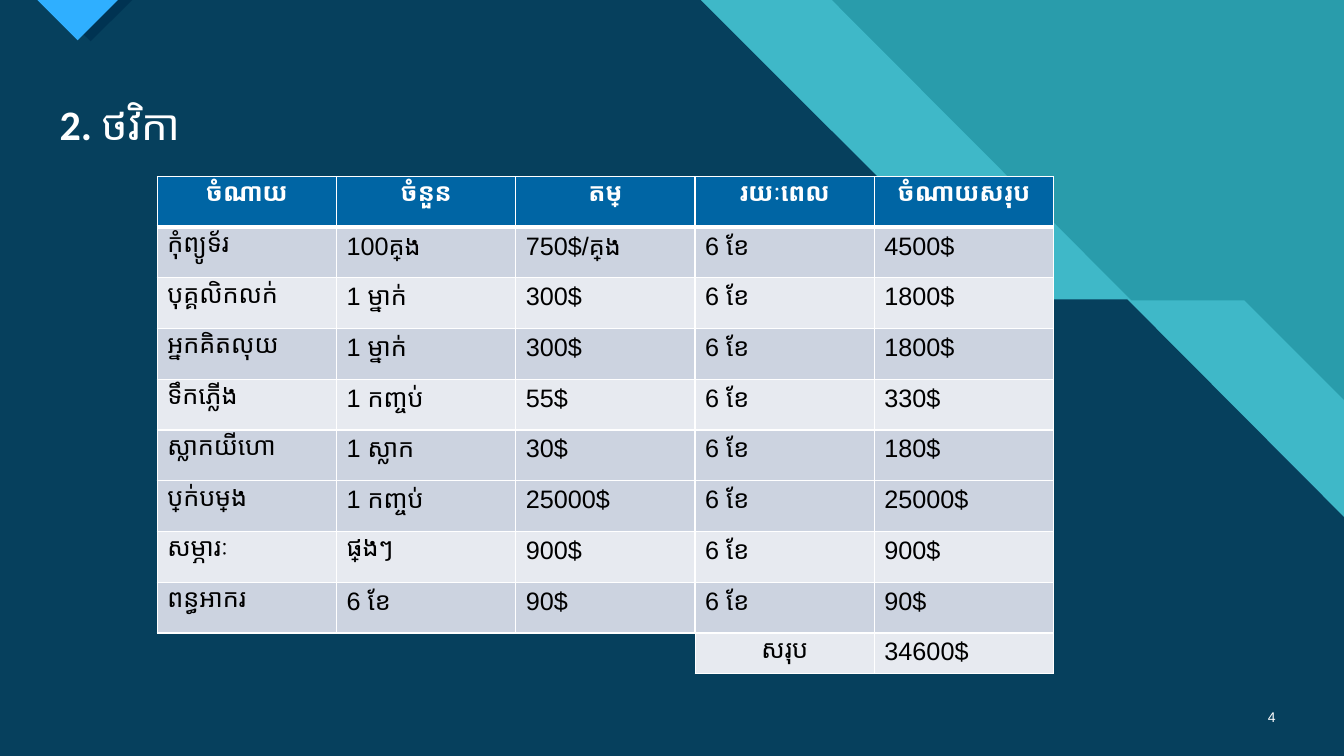
from lxml.etree import SubElement
from pptx import Presentation
from pptx.dml.color import RGBColor
from pptx.enum.text import MSO_ANCHOR, MSO_AUTO_SIZE, PP_ALIGN
from pptx.oxml.ns import qn
from pptx.util import Inches, Pt

WIDTH, HEIGHT = 13.33, 7.5
COLORS = {
    "teal": "299CAB", "aqua": "47C3D3", "navy": "003352", "sky": "2FAFFF",
    "header": "0065A4", "dark_band": "CCD3E0", "light_band": "E7EAF0",
    "white": "FFFFFF", "black": "000000",
}
TABLE_LEFT, TABLE_TOP = 1.56, 1.75
COLUMN = 8.89 / 5
ROW = 3.02 / 6

HEADINGS = ["ចំណាយ", "ចំនួន", "តម្លៃ", "រយៈពេល", "ចំណាយសរុប"]
RUNNING_COSTS = [
    ["កុំព្យូទ័រ", "100គ្រឿង", "750$/គ្រឿង", "6 ខែ", "4500$"],
    ["បុគ្គលិកលក់", "1 ម្នាក់", "300$", "6 ខែ", "1800$"],
    ["អ្នកគិតលុយ", "1 ម្នាក់", "300$", "6 ខែ", "1800$"],
    ["ទឹកភ្លើង", "1 កញ្ចប់", "55$", "6 ខែ", "330$"],
    ["ស្លាកយីហោ", "1 ស្លាក", "30$", "6 ខែ", "180$"],
]
OTHER_COSTS = [
    ["ប្រាក់បម្រុង", "1 កញ្ចប់", "25000$", "6 ខែ", "25000$"],
    ["សម្ភារៈ", "ផ្សេងៗ", "900$", "6 ខែ", "900$"],
    ["ពន្ធអាករ", "6 ខែ", "90$", "6 ខែ", "90$"],
]
TOTAL = [["សរុប", "34600$"]]


def color(name):
    return RGBColor.from_string(COLORS[name])


def add_polygon(slide, points, fill, opacity=100):
    # The builder keeps whole units only, so draw in hundredths of an inch
    grid = [(round(x * 100), round(y * 100)) for x, y in points]
    builder = slide.shapes.build_freeform(*grid[0], scale=Inches(0.01))
    builder.add_line_segments(grid[1:], close=True)
    shape = builder.convert_to_shape()
    shape.shadow.inherit = False
    shape.line.fill.background()
    shape.fill.solid()
    shape.fill.fore_color.rgb = color(fill)
    if opacity < 100:
        srgb = shape.fill._xPr.find(qn("a:solidFill")).find(qn("a:srgbClr"))
        SubElement(srgb, qn("a:alpha")).set("val", str(opacity * 1000))


def add_background(slide):
    slide.background.fill.solid()
    slide.background.fill.fore_color.rgb = color("teal")
    corners = [(WIDTH, HEIGHT), (0, HEIGHT)]
    add_polygon(slide, [(0, 0), (8.25, 0), (11.22, 2.98), (12.34, 2.98),
                        (WIDTH, 3.97)] + corners, "aqua", 74)
    add_polygon(slide, [(0, 0), (6.95, 0), (9.92, 2.97), (11.18, 2.97),
                        (WIDTH, 5.13)] + corners, "navy", 90)
    # Marker at the top edge with its darker echo
    add_polygon(slide, [(0.48, 0), (1.31, 0), (0.9, 0.41)], "navy")
    add_polygon(slide, [(0.37, 0), (1.17, 0), (0.77, 0.4)], "sky")


def format_font(paragraph, name, size, fill, bold=None):
    paragraph.font.name = name
    paragraph.font.size = Pt(size)
    paragraph.font.bold = bold
    paragraph.font.color.rgb = color(fill)


def add_title(slide, number, text):
    title = slide.shapes.title
    title.left, title.top = Inches(0.49), Inches(0.93)
    title.width, title.height = Inches(6.71), Inches(0.61)
    frame = title.text_frame
    frame.auto_size = MSO_AUTO_SIZE.NONE
    frame.vertical_anchor = MSO_ANCHOR.TOP
    paragraph = frame.paragraphs[0]
    paragraph.alignment = PP_ALIGN.LEFT
    for words, bold in ((number, True), (text, False)):
        run = paragraph.add_run()
        run.text = words
        run.font.bold = bold
    format_font(paragraph, "Calibri", 30, "white")
    # Bring the title in front of the background shapes
    slide.shapes._spTree.append(title._element)


def add_page_number(slide, number):
    box = slide.shapes.add_textbox(Inches(12.31), Inches(6.91), Inches(0.44), Inches(0.4))
    frame = box.text_frame
    frame.word_wrap = True
    frame.vertical_anchor = MSO_ANCHOR.MIDDLE
    paragraph = frame.paragraphs[0]
    paragraph.text = number
    paragraph.alignment = PP_ALIGN.RIGHT
    format_font(paragraph, "Arial", 10, "white")


def set_borders(cell, top, bottom):
    properties = cell._tc.get_or_add_tcPr()
    for side, width in (("L", 1), ("R", 1), ("T", top), ("B", bottom)):
        line = SubElement(properties, qn(f"a:ln{side}"), w=str(Pt(width)))
        fill = SubElement(line, qn("a:solidFill"))
        SubElement(fill, qn("a:srgbClr"), val=COLORS["white"])


def add_table(slide, rows, first_column, first_row, fills, row_height=ROW, centered=()):
    column_count = len(rows[0])
    table = slide.shapes.add_table(
        len(rows), column_count,
        Inches(TABLE_LEFT + first_column * COLUMN), Inches(TABLE_TOP + first_row * ROW),
        Inches(column_count * COLUMN), Inches(len(rows) * row_height)).table
    table.first_row = "header" in fills
    for row_index, (row, fill) in enumerate(zip(rows, fills)):
        is_header = fill == "header"
        below_header = row_index > 0 and fills[row_index - 1] == "header"
        for column_index, text in enumerate(row):
            cell = table.cell(row_index, column_index)
            set_borders(cell, 3 if below_header else 1, 3 if is_header else 1)
            cell.fill.solid()
            cell.fill.fore_color.rgb = color(fill)
            paragraph = cell.text_frame.paragraphs[0]
            paragraph.text = text
            if is_header or column_index in centered:
                paragraph.alignment = PP_ALIGN.CENTER
            format_font(paragraph, "Arial", 18, "white" if is_header else "black", is_header)


def main():
    presentation = Presentation()
    presentation.slide_width, presentation.slide_height = Inches(WIDTH), Inches(HEIGHT)
    slide = presentation.slides.add_slide(presentation.slide_layouts[5])
    add_background(slide)
    add_title(slide, "2. ", "ថវិកា")
    add_page_number(slide, "4")

    # Budget in three stacked tables on one grid
    bands = ["dark_band", "light_band"] * 3
    add_table(slide, [HEADINGS] + RUNNING_COSTS, 0, 0, ["header"] + bands)
    add_table(slide, OTHER_COSTS, 0, 6, bands)
    add_table(slide, TOTAL, 3, 9, ["light_band"], row_height=0.4, centered=(0,))
    presentation.save("out.pptx")


if __name__ == "__main__":
    main()
